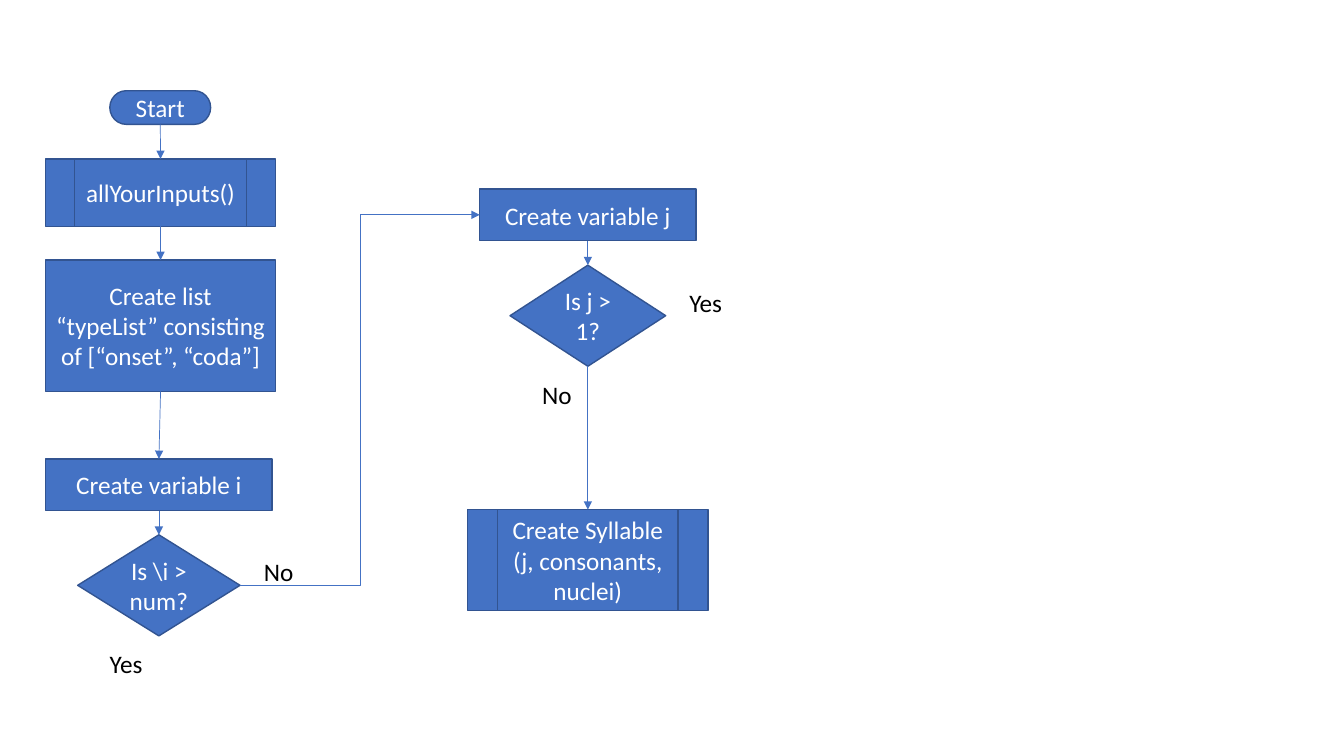
from lxml import etree
from pptx import Presentation
from pptx.dml.color import RGBColor
from pptx.enum.shapes import MSO_CONNECTOR, MSO_SHAPE
from pptx.enum.text import MSO_ANCHOR, PP_ALIGN
from pptx.oxml.ns import qn
from pptx.util import Pt

PROCESS = MSO_SHAPE.RECTANGLE
DECISION = MSO_SHAPE.DIAMOND
TERMINATOR = MSO_SHAPE.FLOWCHART_TERMINATOR
SUBROUTINE = MSO_SHAPE.FLOWCHART_PREDEFINED_PROCESS
STRAIGHT = MSO_CONNECTOR.STRAIGHT
ELBOW = MSO_CONNECTOR.ELBOW
TOP, LEFT, BOTTOM, RIGHT = range(4)  # connection sites
BLANK_LAYOUT = 6

BLUE = "4472C4"
DARK_BLUE = "325491"
WHITE = "FFFFFF"
BLACK = "000000"

# name: (shape, left, top, width, height, text)
STEPS = {
    "start": (TERMINATOR, 78.5, 64.8, 72, 24, "Start"),
    "inputs": (SUBROUTINE, 32.7, 113.5, 164, 48.2, "allYourInputs()"),
    "type list": (PROCESS, 32.7, 185.7, 164, 93.8,
                  "Create list “typeList” consisting of [“onset”, “coda”]"),
    "variable i": (PROCESS, 32.7, 327.8, 161.6, 36.9, "Create variable i"),
    "test i": (DECISION, 55.5, 382, 116, 72.2, "Is \\i > num?"),
    "variable j": (PROCESS, 342.7, 135, 154.4, 37, "Create variable j"),
    "test j": (DECISION, 364.3, 189.4, 111.2, 72.2, "Is j > 1?"),
    "syllable": (SUBROUTINE, 334.1, 364, 171.6, 72,
                 "Create Syllable\v(j, consonants, nuclei)"),
}

DOWN_ARROWS = [
    ("start", "inputs"), ("inputs", "type list"), ("type list", "variable i"),
    ("variable i", "test i"), ("variable j", "test j"), ("test j", "syllable"),
]

# text, left, top, width, wrap
BRANCH_LABELS = [
    ("No", 181.4, 394, 37.4, False),
    ("Yes", 71.3, 459.4, 41.8, True),
    ("Yes", 485.3, 201.6, 38.2, False),
    ("No", 380.2, 267.1, 40.3, True),
]


def color(hex_string):
    """Turn a hex string into a colour."""
    return RGBColor.from_string(hex_string)


def set_text(frame, text, font_color):
    """Write one paragraph in the chart's font and return it."""
    frame.text = text
    para = frame.paragraphs[0]
    para.font.name = "Calibri"
    para.font.size = Pt(18)
    para.font.color.rgb = color(font_color)
    return para


def add_step(page, kind, left, top, width, height, text):
    """Add one flowchart step with centred text."""
    step = page.shapes.add_shape(kind, Pt(left), Pt(top), Pt(width), Pt(height))
    step.shadow.inherit = False
    step.fill.solid()
    step.fill.fore_color.rgb = color(BLUE)
    step.line.color.rgb = color(DARK_BLUE)
    step.line.width = Pt(1)
    step.text_frame.word_wrap = True
    step.text_frame.vertical_anchor = MSO_ANCHOR.MIDDLE
    set_text(step.text_frame, text, WHITE).alignment = PP_ALIGN.CENTER
    return step


def add_arrow(page, kind, source, source_site, target, target_site):
    """Connect two steps with an arrow glued to their sites."""
    arrow = page.shapes.add_connector(kind, 0, 0, 0, 0)
    arrow.begin_connect(source, source_site)
    arrow.end_connect(target, target_site)
    arrow.line.color.rgb = color(BLUE)
    arrow.line.width = Pt(0.5)
    etree.SubElement(arrow.line._get_or_add_ln(), qn("a:tailEnd"), type="triangle")
    etree.SubElement(arrow._element.spPr, qn("a:effectLst"))


def add_label(page, text, left, top, width, wrap):
    """Add a branch label beside a decision."""
    box = page.shapes.add_textbox(Pt(left), Pt(top), Pt(width), Pt(29))
    box.text_frame.word_wrap = wrap
    set_text(box.text_frame, text, BLACK)


def main():
    """Build the flowchart slide."""
    deck = Presentation()
    deck.slide_width, deck.slide_height = Pt(960), Pt(540)
    page = deck.slides.add_slide(deck.slide_layouts[BLANK_LAYOUT])
    steps = {name: add_step(page, *step) for name, step in STEPS.items()}
    for source, target in DOWN_ARROWS:
        add_arrow(page, STRAIGHT, steps[source], BOTTOM, steps[target], TOP)
    add_arrow(page, ELBOW, steps["test i"], RIGHT, steps["variable j"], LEFT)
    for label in BRANCH_LABELS:
        add_label(page, *label)
    deck.save("out.pptx")


main()
